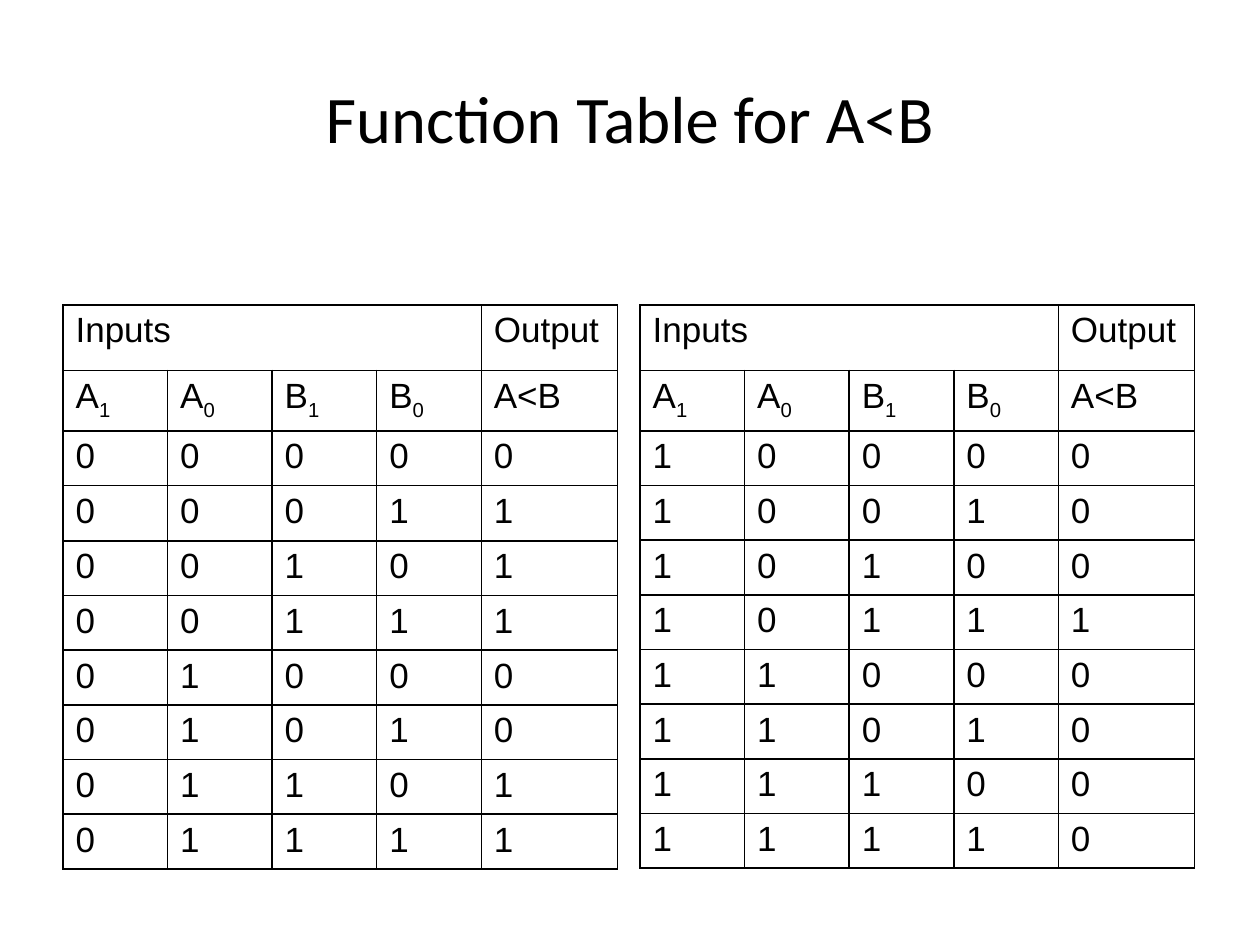
from lxml.etree import SubElement
from pptx import Presentation
from pptx.dml.color import RGBColor
from pptx.enum.text import MSO_ANCHOR, PP_ALIGN
from pptx.oxml.ns import qn
from pptx.util import Inches, Pt

BLACK = RGBColor(0, 0, 0)
WHITE = RGBColor(255, 255, 255)
COLS = [0.83, 0.83, 0.83, 0.83, 1.08]
TOP = 2.42


def write(frame, text, font="Arial", size=20, align=PP_ALIGN.JUSTIFY, hang=0):
    """Write one paragraph; what follows an underscore is subscript."""
    para = frame.paragraphs[0]
    para.alignment = align
    if hang:
        props = para._p.get_or_add_pPr()
        props.set("marL", str(Inches(hang)))
        props.set("indent", str(-Inches(hang)))
    for num, part in enumerate(text.split("_")):
        run = para.add_run()
        run.text = part
        run.font.name, run.font.size = font, Pt(size)
        run.font.color.rgb = BLACK
        if num:
            run._r.get_or_add_rPr().set("baseline", "-25000")


class Page:
    def __init__(self, slide, line=1):
        self.slide = slide
        self.line = line
        slide.background.fill.solid()
        slide.background.fill.fore_color.rgb = WHITE

    def title(self, text, left, top, width, height):
        box = self.slide.shapes.add_textbox(
            Inches(left), Inches(top), Inches(width), Inches(height))
        frame = box.text_frame
        frame.word_wrap = True
        frame.vertical_anchor = MSO_ANCHOR.MIDDLE
        write(frame, text, font="Calibri", size=38, align=PP_ALIGN.CENTER)

    def border(self, cell):
        props = cell._tc.get_or_add_tcPr()
        for num, side in enumerate(("lnL", "lnR", "lnT", "lnB")):
            edge = props.makeelement(qn("a:" + side), {"w": str(Pt(self.line))})
            fill = SubElement(edge, qn("a:solidFill"))
            SubElement(fill, qn("a:srgbClr"), val=str(BLACK))
            props.insert(num, edge)

    def table(self, rows, left, top, cols, heights, hang=0):
        table = self.slide.shapes.add_table(
            len(rows), len(cols), Inches(left), Inches(top),
            Inches(sum(cols)), Inches(sum(heights))).table
        table.first_row = table.horz_banding = False
        for col, width in zip(table.columns, cols):
            col.width = Inches(width)
        for line, height, row in zip(table.rows, heights, rows):
            line.height = Inches(height)
            for cell, text in zip(line.cells, row):
                cell.fill.background()
                self.border(cell)
                if text:
                    write(cell.text_frame, text, hang=hang)
        # The heading "Inputs" spans the four input columns
        table.cell(0, 0).merge(table.cell(0, 3))


def truth(first):
    """Headings and the eight rows whose leading bit A_1 is first."""
    rows = [["Inputs", "", "", "", "Output"],
            ["A_1", "A_0", "B_1", "B_0", "A<B"]]
    for num in range(8 * first, 8 * first + 8):
        a, b = divmod(num, 4)
        rows.append([*f"{num:04b}", str(int(a < b))])
    return rows


def main():
    deck = Presentation()
    deck.slide_width, deck.slide_height = Inches(10), Inches(7.5)
    page = Page(deck.slides.add_slide(deck.slide_layouts[6]))

    # Title
    page.title("Function Table for A<B", 0.5, 0.3, 9, 1.25)

    # Left table: A_1 = 0, with a taller fourth row
    heights = [0.52, 0.46] + [0.41] * 8
    tall = heights[:3] + [0.44] + heights[4:]
    page.table(truth(0), 0.5, TOP, COLS, tall, hang=0.38)

    # Right table: A_1 = 1
    page.table(truth(1), 5.08, TOP, COLS, heights)

    deck.save("out.pptx")


if __name__ == "__main__":
    main()
